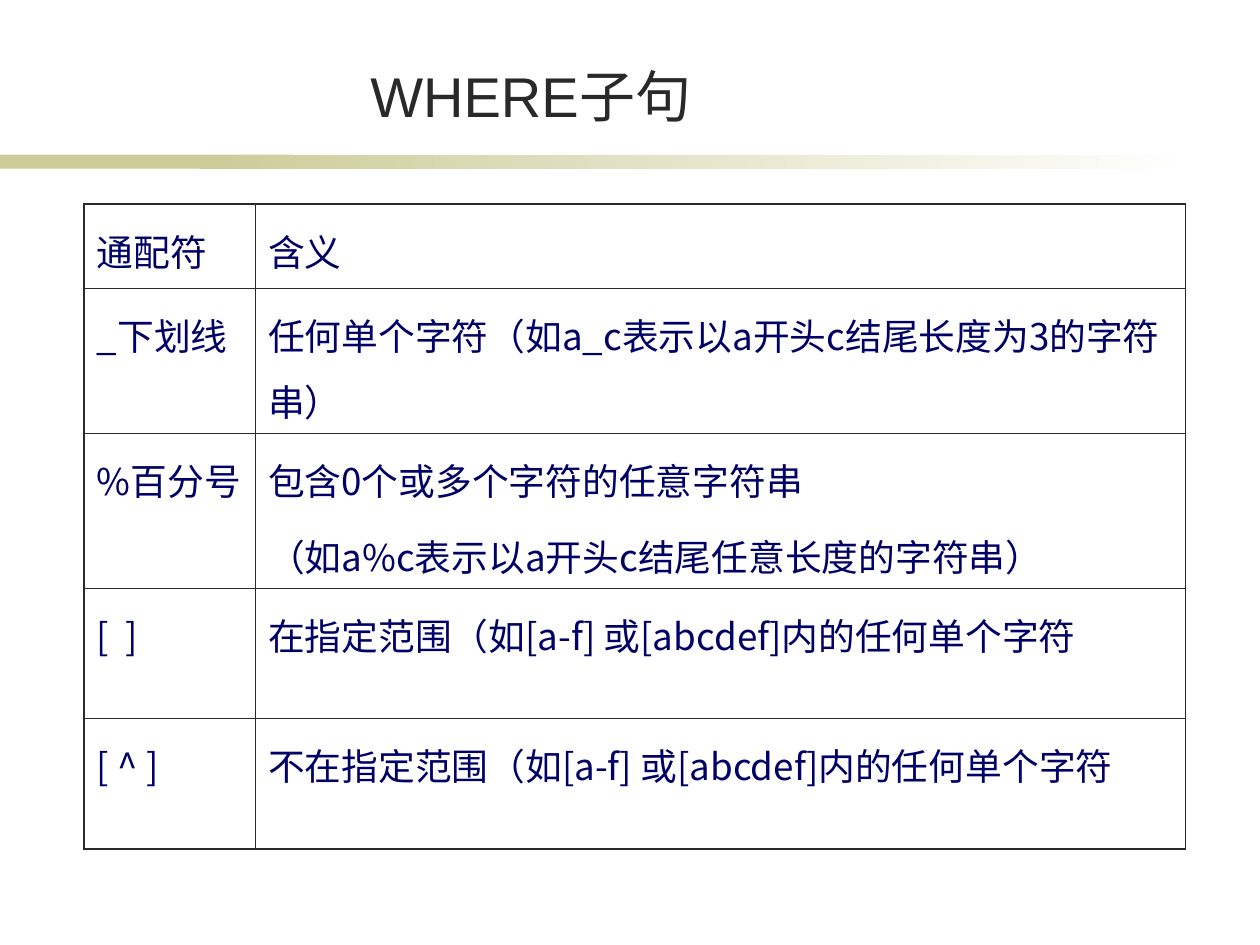
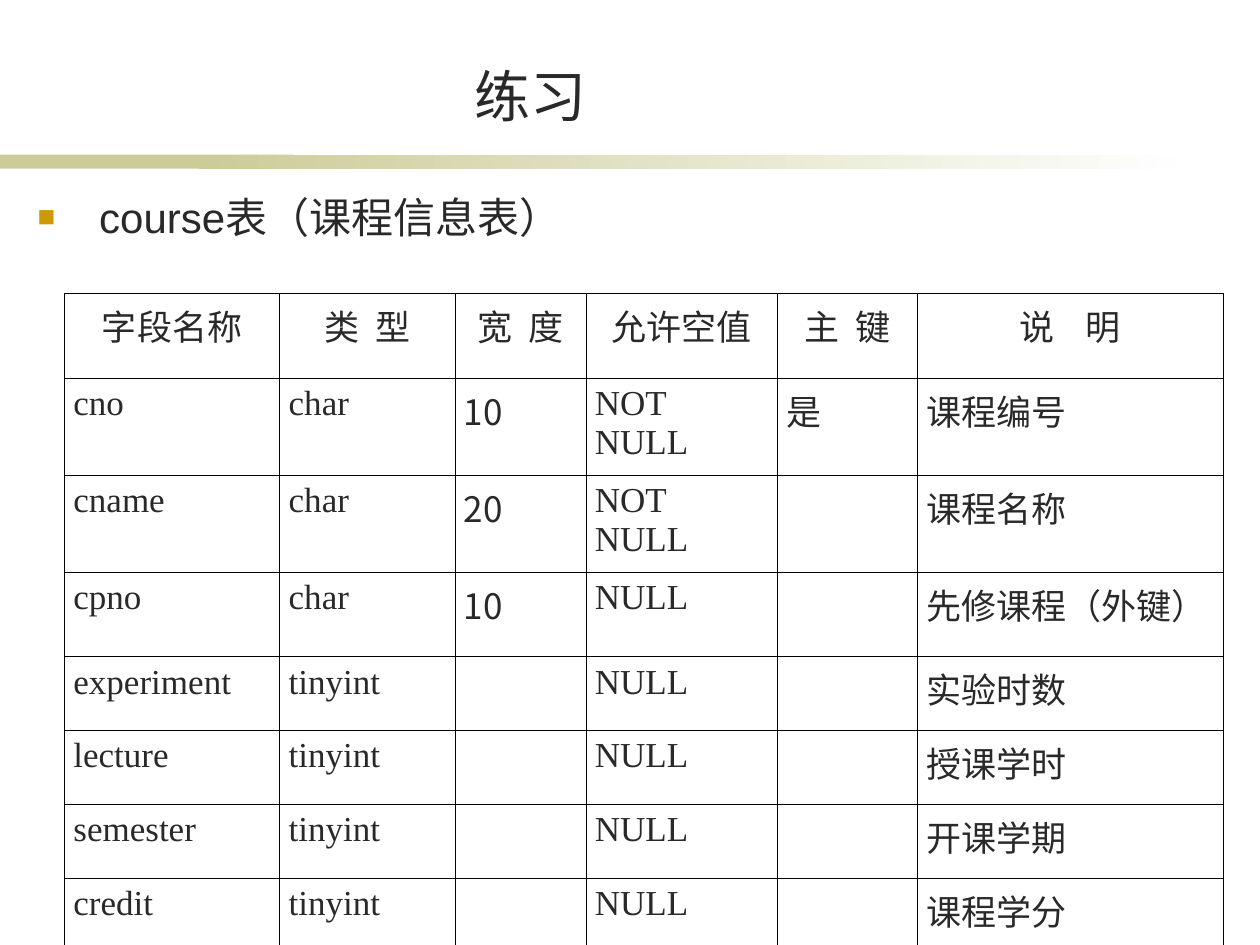
from dataclasses import dataclass
from typing import Any

from lxml.etree import SubElement as Sub
from pptx import Presentation
from pptx.dml.color import RGBColor as Rgb
from pptx.enum.shapes import MSO_SHAPE as Shape
from pptx.enum.text import MSO_ANCHOR as Anchor, MSO_AUTO_SIZE as Fit, PP_ALIGN as Align
from pptx.oxml.ns import qn
from pptx.util import Cm, Pt


@dataclass(frozen=True)
class Theme:
    ink: str = "292929"
    navy: str = "000066"
    black: str = "000000"
    white: str = "FFFFFF"
    olive: str = "CCCC99"
    gold: str = "CC9900"
    sans: str = "Arial"
    serif: str = "Times New Roman"
    han: str = "Noto Sans CJK SC"
    title: float = 32
    body: float = 24
    wild: float = 21
    field: float = 20
    thin: float = 0.45
    thick: float = 1.08


@dataclass(frozen=True)
class Box:
    left: float
    top: float
    width: float
    height: float

    def cm(self) -> tuple:
        return tuple(Cm(n) for n in (self.left, self.top, self.width, self.height))


@dataclass(frozen=True)
class Band:
    box: Box
    fade: bool


@dataclass(frozen=True)
class Face:
    font: str
    size: float
    color: str


@dataclass(frozen=True)
class Grid:
    left: float
    top: float
    cols: list[float]
    rows: list[float]
    cells: list[list[str]]
    face: Face
    line: str
    edge: float
    para: dict[str, Any]
    pad: dict[str, Any]
    head: Any
    digit: str


T = Theme()
TITLE = Box(2.9, 1.12, 15.6, 1.6)
BODY = Box(0.51, 3.73, 23.42, 12.6)
BANDS = [
    Band(Box(0, 3.12, 5.92, 0.28), False),
    Band(Box(4.01, 3.12, 20.12, 0.28), True),
]

WILD = Grid(
    left=1.7, top=4.11, cols=[3.45, 18.75], rows=[1.7, 2.92, 3.12, 2.62, 2.64],
    cells=[
        ["通配符", "含义"],
        ["_下划线", "任何单个字符（如a_c表示以a开头c结尾长度为3的字符串）"],
        ["%百分号", "包含0个或多个字符的任意字符串\n（如a%c表示以a开头c结尾任意长度的字符串）"],
        ["[  ]", "在指定范围（如[a-f] 或[abcdef]内的任何单个字符"],
        ["[ ^ ]", "不在指定范围（如[a-f] 或[abcdef]内的任何单个字符"],
    ],
    face=Face(T.han, T.wild, T.navy), line=T.ink, edge=T.thick,
    para={"line_spacing": 1.25, "space_before": Pt(5.2)},
    pad={}, head=Align.LEFT, digit=T.han,
)

COURSE = Grid(
    left=1.3, top=5.92, cols=[4.34, 3.53, 2.64, 3.86, 2.82, 6.17],
    rows=[1.7, 1.81, 1.81, 1.7] + [1.49] * 4,
    cells=[
        ["字段名称", "类  型", "宽  度", "允许空值", "主  键", "说    明"],
        ["cno", "char", "10", "NOT NULL", "是", "课程编号"],
        ["cname", "char", "20", "NOT NULL", "", "课程名称"],
        ["cpno", "char", "10", "NULL", "", "先修课程（外键）"],
        ["experiment", "tinyint", "", "NULL", "", "实验时数"],
        ["lecture", "tinyint", "", "NULL", "", "授课学时"],
        ["semester", "tinyint", "", "NULL", "", "开课学期"],
        ["credit", "tinyint", "", "NULL", "", "课程学分"],
    ],
    face=Face(T.serif, T.field, T.ink), line=T.black, edge=T.thin,
    para={},
    pad={"margin_left": Cm(0.18), "margin_right": Cm(0.18),
         "margin_top": Cm(0.13), "margin_bottom": Cm(0.13)},
    head=Align.CENTER, digit=T.han,
)


def put(item: Any, vals: dict[str, Any]) -> None:
    for name, val in vals.items():
        setattr(item, name, val)


def write(frame: Any, text: str, face: Face, para: dict[str, Any]) -> None:
    frame.text = text
    for line in frame.paragraphs:
        put(line, para)
        for run in line.runs:
            put(run.font, {"name": face.font, "size": Pt(face.size)})
            run.font.color.rgb = Rgb.from_string(face.color)


def set_han(slide: Any) -> None:
    """Give every run the East Asian font."""
    for props in slide.element.iter(qn("a:rPr")):
        Sub(props, qn("a:ea"), typeface=T.han)


def draw_band(slide: Any, band: Band) -> Any:
    bar = slide.shapes.add_shape(Shape.RECTANGLE, *band.box.cm())
    bar.shadow.inherit = False
    bar.line.fill.background()
    if band.fade:
        bar.fill.gradient()
        bar.fill.gradient_angle = 0
        for stop, color in zip(bar.fill.gradient_stops, (T.olive, T.white)):
            stop.color.rgb = Rgb.from_string(color)
    else:
        bar.fill.solid()
        bar.fill.fore_color.rgb = Rgb.from_string(T.olive)
    return bar


def share_bands(slide: Any) -> None:
    """Move the bands to the layout, so that all its slides show them."""
    tree = slide.slide_layout.shapes.element
    for band in BANDS:
        tree.append(draw_band(slide, band).element)


def set_title(slide: Any, text: str) -> None:
    title = slide.shapes.title
    put(title, dict(zip(("left", "top", "width", "height"), TITLE.cm())))
    frame = title.text_frame
    write(frame, text, Face(T.sans, T.title, T.ink), {"alignment": Align.CENTER})
    put(frame, {"vertical_anchor": Anchor.BOTTOM, "auto_size": Fit.NONE, "word_wrap": True})


def draw_point(slide: Any, text: str) -> None:
    """Add the body text with a square bullet."""
    frame = slide.shapes.add_textbox(*BODY.cm()).text_frame
    frame.word_wrap = True
    write(frame, text, Face(T.sans, T.body, T.ink), {"space_before": Pt(6)})
    props = frame.paragraphs[0]._p.get_or_add_pPr()
    props.set("marL", str(Cm(1.24)))
    props.set("indent", str(-Cm(1.24)))
    Sub(Sub(props, qn("a:buClr")), qn("a:srgbClr"), val=T.gold)
    Sub(props, qn("a:buSzPct"), val="70000")
    Sub(props, qn("a:buFont"), typeface=T.sans)
    Sub(props, qn("a:buChar"), char="■")


def rule_cell(cell: Any, color: str, sides: dict[str, float]) -> None:
    props = cell._tc.get_or_add_tcPr()
    for side, width in sides.items():
        line = Sub(props, qn(f"a:ln{side}"), w=str(Pt(width)))
        Sub(Sub(line, qn("a:solidFill")), qn("a:srgbClr"), val=color)


def draw_grid(slide: Any, grid: Grid) -> None:
    box = Box(grid.left, grid.top, sum(grid.cols), sum(grid.rows))
    high, wide = len(grid.rows), len(grid.cols)
    table = slide.shapes.add_table(high, wide, *box.cm()).table
    put(table, {"first_row": False, "horz_banding": False})
    for col, width in zip(table.columns, grid.cols):
        col.width = Cm(width)
    for row, height in zip(table.rows, grid.rows):
        row.height = Cm(height)
    for r, texts in enumerate(grid.cells):
        for c, text in enumerate(texts):
            cell = table.cell(r, c)
            outer = {"L": c == 0, "R": c == wide - 1, "T": r == 0, "B": r == high - 1}
            rule_cell(cell, grid.line,
                      {side: grid.edge if out else T.thin for side, out in outer.items()})
            cell.fill.background()
            put(cell, grid.pad)
            font = grid.digit if text.isdigit() else grid.face.font
            side = Align.LEFT if r else grid.head
            write(cell.text_frame, text, Face(font, grid.face.size, grid.face.color),
                  {"alignment": side, **grid.para})


def main() -> None:
    deck = Presentation()
    put(deck, {"slide_width": Cm(25.4), "slide_height": Cm(19.05)})
    plain = deck.slide_layouts[5]

    where = deck.slides.add_slide(plain)
    share_bands(where)
    set_title(where, "WHERE子句")
    draw_grid(where, WILD)

    task = deck.slides.add_slide(plain)
    set_title(task, "练习")
    draw_point(task, "course表（课程信息表）")
    draw_grid(task, COURSE)

    for slide in deck.slides:
        set_han(slide)
    deck.save("out.pptx")


if __name__ == "__main__":
    main()
